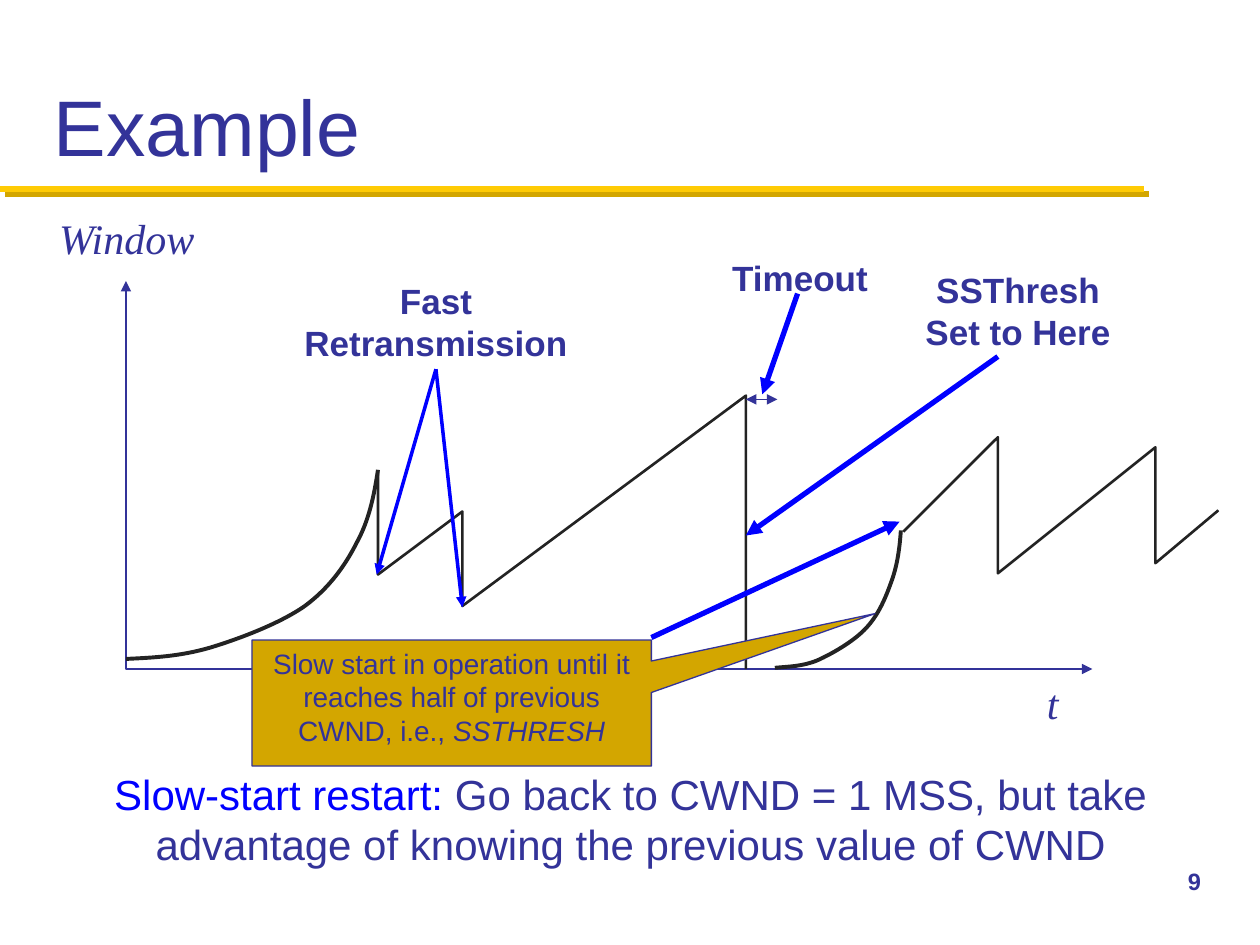
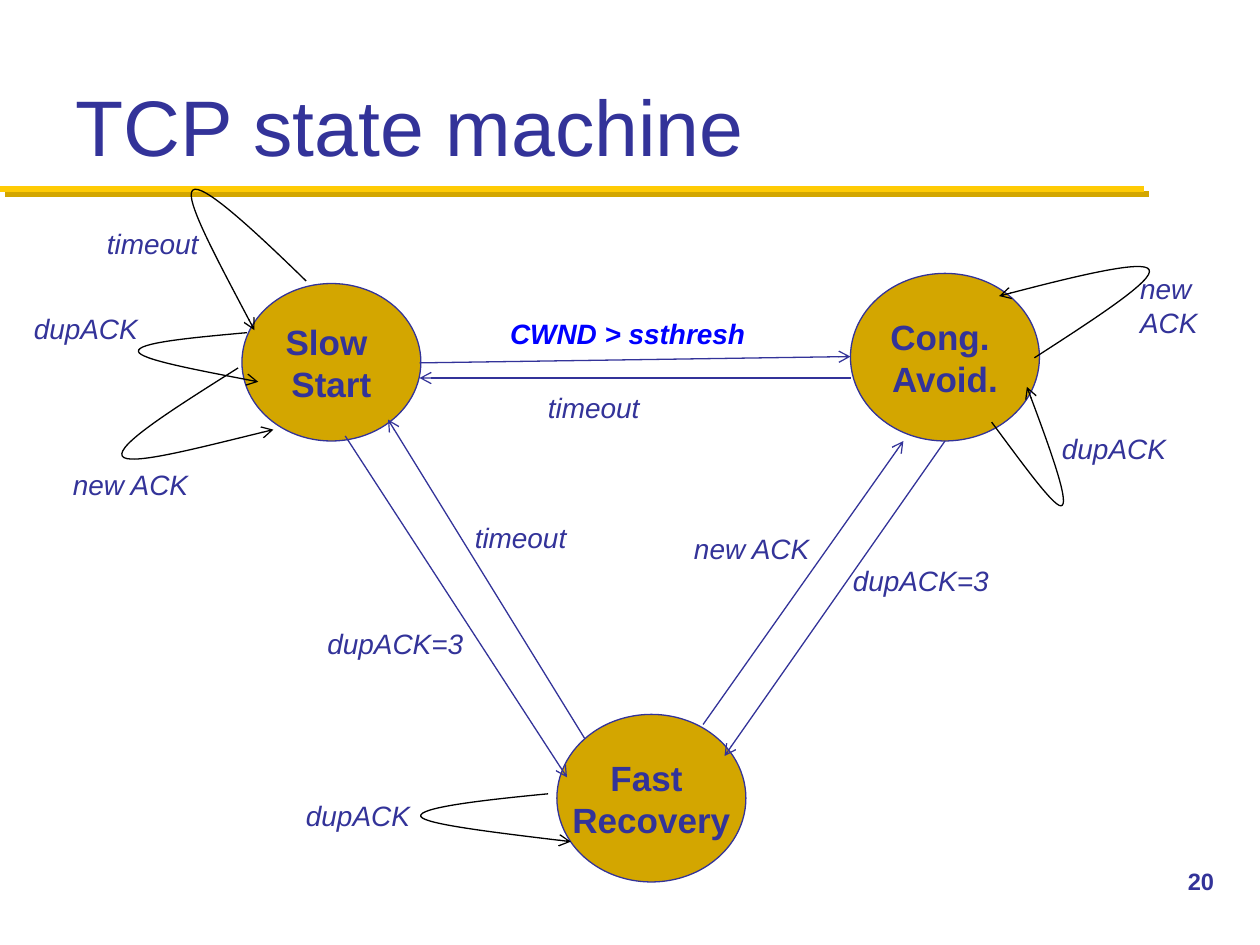
from dataclasses import dataclass
from typing import Any

from lxml import etree
from pptx import Presentation
from pptx.dml.color import RGBColor
from pptx.enum.shapes import MSO_CONNECTOR as LINK, MSO_SHAPE as FORM
from pptx.enum.text import MSO_ANCHOR as ANCHOR, PP_ALIGN as ALIGN
from pptx.oxml.ns import qn
from pptx.util import Inches, Pt

NAVY, BLUE, GOLD, AMBER, INK, BLACK = (
    "333399", "0000FF", "D3A600", "FFCB05", "232323", "000000")
SANS, SERIF = "Arial", "Times New Roman"


def color(code):
    return RGBColor.from_string(code)


def style(font, size=16, ink=NAVY, bold=False, italic=False, face=SANS):
    font.name, font.size = face, Pt(size)
    font.bold, font.italic = bold, italic
    font.color.rgb = color(ink)


def stroke(shape, ink, width, head=None, tail=None):
    shape.line.color.rgb = color(ink)
    shape.line.width = Pt(width)
    line = shape.line._get_or_add_ln()
    for tag, kind in (("a:headEnd", head), ("a:tailEnd", tail)):
        if kind:
            etree.SubElement(line, qn(tag), type=kind)


def bend(shape):
    """Turn every three line steps of a freeform into one Bezier curve."""
    path = shape._element.find(".//" + qn("a:path"))
    steps = path.findall(qn("a:lnTo"))
    for i in range(0, len(steps), 3):
        curve = etree.SubElement(path, qn("a:cubicBezTo"))
        for step in steps[i:i + 3]:
            curve.append(step[0])
            path.remove(step)


@dataclass
class Box:
    """A region of a slide; all places in it count from its corner."""
    slide: Any
    left: float
    top: float

    def place(self, x, y):
        return Inches(self.left + x), Inches(self.top + y)

    def text(self, x, y, w, h, words, align=ALIGN.LEFT, wrap=False, **look):
        box = self.slide.shapes.add_textbox(
            *self.place(x, y), Inches(w), Inches(h))
        frame = box.text_frame
        frame.word_wrap = wrap
        frame.text = words
        for para in frame.paragraphs:
            para.alignment = align
            style(para.font, **look)
        return frame

    def line(self, start, end, ink=NAVY, width=0.75, head=None, tail=None):
        line = self.slide.shapes.add_connector(
            LINK.STRAIGHT, *self.place(*start), *self.place(*end))
        stroke(line, ink, width, head, tail)
        return etree.SubElement(line._element.spPr, qn("a:effectLst"))

    def trace(self, points, ink=INK, width=1.5, curved=False, **ends):
        spots = [self.place(*point) for point in points]
        pen = self.slide.shapes.build_freeform(*spots[0])
        pen.add_line_segments(spots[1:], close=False)
        shape = pen.convert_to_shape()
        shape.fill.background()
        shape.shadow.inherit = False
        stroke(shape, ink, width, **ends)
        if curved:
            bend(shape)

    def block(self, form, x, y, w, h):
        shape = self.slide.shapes.add_shape(
            form, *self.place(x, y), Inches(w), Inches(h))
        shape.shadow.inherit = False
        shape.fill.solid()
        shape.fill.fore_color.rgb = color(GOLD)
        stroke(shape, NAVY, 0.75)
        return shape


def frame(deck, title, number, indent=0.1):
    """Add a slide with rule, title and number; return its body region."""
    slide = deck.slides.add_slide(deck.slide_layouts[6])
    page = Box(slide, 0, 0)
    effects = page.line((0, 1.5), (9.08, 1.5), AMBER, 3.5)
    shade = etree.SubElement(effects, qn("a:outerShdw"), dist=str(Pt(4.2)),
                             dir="2700000", algn="ctr", rotWithShape="0")
    etree.SubElement(shade, qn("a:srgbClr"), val=GOLD)
    head = page.text(0.33, 0.17, 9.33, 1.25, title, wrap=True, size=45)
    head.vertical_anchor = ANCHOR.BOTTOM
    head.margin_left = Inches(indent)
    page.text(9.33, 6.83, 0.67, 0.5, number, wrap=True, size=13.5, bold=True)
    return Box(slide, 0, 1.5)


def mixed(para, *parts):
    """Fill a centred paragraph with runs, each a text and its look."""
    para.alignment = ALIGN.CENTER
    for words, look in parts:
        run = para.add_run()
        run.text = words
        style(run.font, **look)


def window(body):
    """Plot the congestion window over time."""
    body.trace([(1, 0.73), (1, 3.81), (8.67, 3.81)], NAVY,
               head="triangle", tail="triangle")
    body.text(8.21, 3.83, 0.29, 0.5, "t", size=24, italic=True, face=SERIF)
    body.text(0.37, 0.14, 1.29, 0.5, "Window",
              size=24, italic=True, face=SERIF)
    body.trace([(3, 2.23), (2.97, 2.43), (2.93, 2.63), (2.83, 2.81),
                (2.74, 2.99), (2.61, 3.17), (2.42, 3.31),
                (2.22, 3.45), (1.9, 3.57), (1.67, 3.64),
                (1.43, 3.71), (1.22, 3.72), (1, 3.73)],
               width=2.25, curved=True)
    body.trace([(3, 2.23), (3, 3.06), (3.67, 2.56), (3.67, 3.31),
                (5.92, 1.64), (5.92, 3.81)])
    body.trace([(7.15, 2.71), (7.14, 2.86), (7.12, 3), (7.07, 3.13),
                (7.02, 3.27), (6.96, 3.4), (6.86, 3.5),
                (6.76, 3.6), (6.6, 3.69), (6.49, 3.74),
                (6.37, 3.79), (6.26, 3.79), (6.15, 3.8)],
               width=2.25, curved=True)
    body.trace([(7.17, 2.72), (7.92, 1.97), (7.92, 3.05), (9.17, 2.05),
                (9.17, 2.97), (9.67, 2.55)])


def notes(body):
    """Explain the events on the window plot."""
    call = body.block(FORM.RECTANGULAR_CALLOUT, 2, 3.58, 3.17, 1)
    call.adjustments[0], call.adjustments[1] = 1.06, -0.71
    call.text_frame.word_wrap = True
    call.text_frame.vertical_anchor = ANCHOR.TOP
    mixed(call.text_frame.paragraphs[0],
          ("Slow start in operation until it reaches half of previous "
           "CWND, i.e., ", {}),
          ("SSTHRESH", {"italic": True}))
    for x, y, w, h, words in (
            (5.58, 0.49, 1.54, 0.43, "Timeout"),
            (2.17, 0.67, 2.58, 0.77, "Fast Retransmission"),
            (7.08, 0.58, 2, 0.77, "SSThresh\nSet to Here")):
        body.text(x, y, w, h, words, ALIGN.CENTER, True, size=20, bold=True)
    for start, end, width in (
            ((5.17, 3.56), (7.14, 2.64), 3), ((4.83 + 1.5, 0.83), (6.05, 1.63), 3),
            ((3.46, 1.43), (2.99, 3.06), 2), ((3.46, 1.43), (3.67, 3.32), 2),
            ((7.92, 1.33), (5.92, 2.75), 3)):
        body.line(start, end, BLUE, width, tail="triangle")
    body.line((5.92, 1.67), (6.17, 1.67), head="triangle", tail="triangle")
    rest = body.text(0.72, 4.55, 8.57, 0.91, "", wrap=True)
    mixed(rest.paragraphs[0],
          ("Slow-start restart:", {"size": 24, "ink": BLUE}),
          (" Go back to CWND = 1 MSS, but take advantage of knowing "
           "the previous value of CWND", {"size": 24}))


def states(body):
    """Draw the three states and the moves between them."""
    for x, y, w, h, name in (
            (1.92, 0.75, 1.42, 1.25, "Slow \vStart"),
            (6.75, 0.67, 1.5, 1.33, "Cong. \vAvoid."),
            (4.42, 4.17, 1.5, 1.33, "Fast \vRecovery")):
        text = body.block(FORM.OVAL, x, y, w, h).text_frame
        text.word_wrap = False
        text.vertical_anchor = ANCHOR.MIDDLE
        text.text = name
        text.paragraphs[0].alignment = ALIGN.CENTER
        style(text.paragraphs[0].font, 20, bold=True)
    for start, end in (
            ((3.33, 1.38), (6.75, 1.33)), ((6.75, 1.5), (3.33, 1.5)),
            ((2.74, 1.96), (4.5, 4.67)), ((7.5, 2), (5.75, 4.5)),
            ((5.58, 4.25), (7.17, 2)), ((4.64, 4.36), (3.08, 1.83))):
        body.line(start, end, tail="arrow")
    body.text(3.95, 0.96, 2.09, 0.37, "CWND > ssthresh",
              ink=BLUE, bold=True, italic=True)
    for x, y, w, words in (
            (4.25, 1.55, 0.94, "timeout"), (3.67, 2.58, 0.94, "timeout"),
            (2.5, 3.42, 1.29, "dupACK=3"), (6.67, 2.92, 1.29, "dupACK=3"),
            (5.41, 2.67, 1.13, "new ACK")):
        body.text(x, y, w, 0.37, words, italic=True)


def loops(body):
    """Draw the moves that lead back to the same state."""
    for x, y, w, words, points in (
            (2.33, 4.79, 1.03, "dupACK",
             [(4.35, 4.8), (3.83, 4.85), (3.31, 4.91), (3.34, 4.98),
              (3.37, 5.04), (3.95, 5.11), (4.53, 5.18)]),
            (0.48, 2.16, 1.13, "new ACK",
             [(1.89, 1.42), (1.4, 1.73), (0.92, 2.03), (0.97, 2.12),
              (1.02, 2.2), (1.59, 2.05), (2.17, 1.91)]),
            (0.75, 0.25, 0.94, "timeout",
             [(2.43, 0.73), (2.02, 0.33), (1.6, -0.06), (1.53, 0.01),
              (1.46, 0.07), (1.74, 0.59), (2.02, 1.12)]),
            (8.95, 0.61, 0.68, "new \vACK",
             [(8.21, 1.34), (8.69, 1.03), (9.17, 0.72), (9.12, 0.64),
              (9.08, 0.56), (8.5, 0.7), (7.93, 0.85)]),
            (0.17, 0.92, 1.05, "dupACK",
             [(1.96, 1.14), (1.52, 1.18), (1.08, 1.22), (1.1, 1.29),
              (1.11, 1.35), (1.58, 1.44), (2.05, 1.53)]),
            (8.33, 1.88, 1.1, "dupACK",
             [(7.87, 1.85), (8.13, 2.2), (8.39, 2.56), (8.43, 2.51),
              (8.48, 2.47), (8.32, 2.02), (8.15, 1.57)])):
        body.trace(points, BLACK, 0, curved=True, tail="arrow")
        body.text(x, y, w, 0.37, words, italic=True)


def main():
    deck = Presentation()
    deck.slide_width, deck.slide_height = Inches(10), Inches(7.5)
    plot = frame(deck, "Example", "9")
    window(plot)
    notes(plot)
    chart = frame(deck, "TCP state machine", "20", indent=0.27)
    states(chart)
    loops(chart)
    deck.save("out.pptx")


if __name__ == "__main__":
    main()
